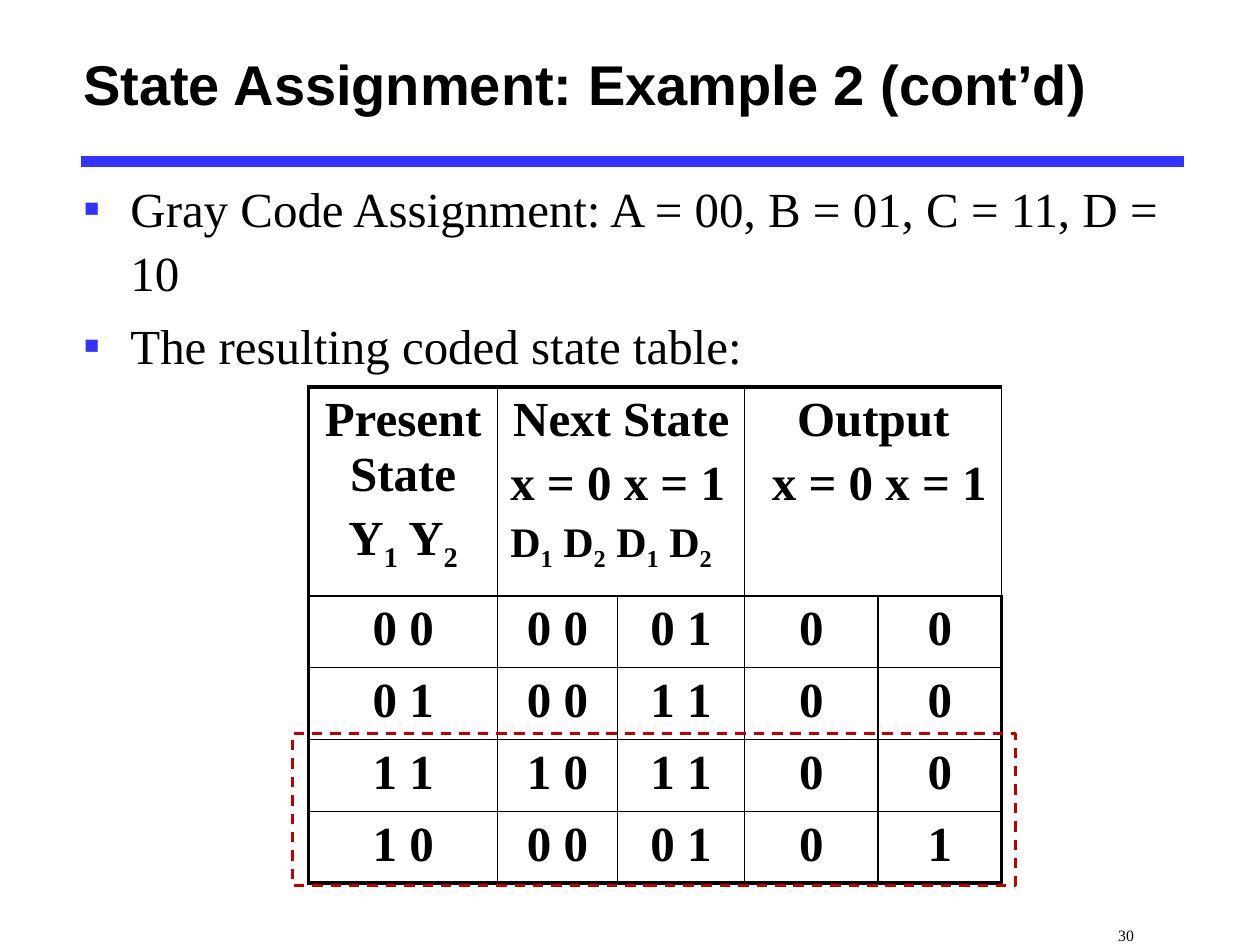
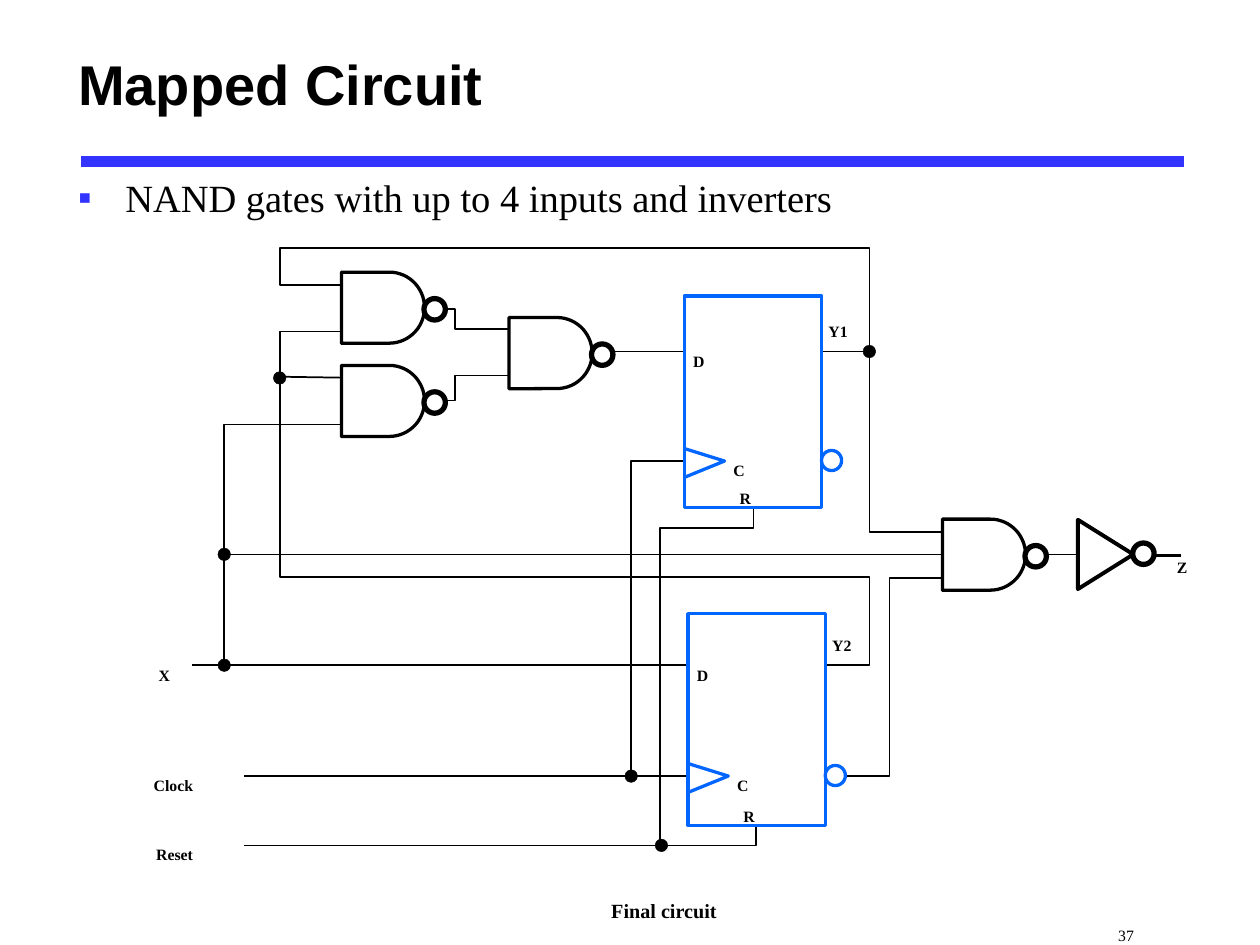
import math

from lxml import etree
from pptx import Presentation
from pptx import util as u
from pptx.dml import color
from pptx.enum import dml, shapes, text
from pptx.oxml import ns

BLACK, WHITE, BLUE, WIRE_BLUE, RED = "000000", "FFFFFF", "3333FF", "0066FF", "C00000"
SERIF, SANS = "Times New Roman", "Arial"
COLUMNS, ROWS = 100, 75

STATE_COLUMNS = [15, 9.5, 10.1, 10.6, 9.8]
STATE_ROWS = [16.6, 5.7, 5.7, 5.7, 5.7]
STATE_HEADERS = {
    0: [("Present State", 28, "c"), ("Y_1 Y_2", 28, "c")],
    1: [("Next State", 28, "c"), ("x = 0 x = 1", 28, "l"), ("D_1 D_2 D_1 D_2", 24, "l")],
    3: [("Output", 28, "c"), (" x = 0 x = 1", 28, "c")],
}
STATES = [
    ["0 0", "0 0", "0 1", "0", "0"],
    ["0 1", "0 0", "1 1", "0", "0"],
    ["1 1", "1 0", "1 1", "0", "0"],
    ["1 0", "0 0", "0 1", "0", "1"],
]

WIRES = [
    [(30.4, 22.6), (22.2, 22.6), (22.2, 19.7), (69, 19.7), (69, 42.2), (77.7, 42.2)],
    [(30.4, 26.3), (22.2, 26.3), (22.2, 45.8), (69, 45.8), (69, 52.8), (15.2, 52.8)],
    [(76.6, 45.9), (70.6, 45.9), (70.6, 61.6), (19.4, 61.6)],
    [(60, 58.9), (60, 67.1), (19.4, 67.1)],
    [(28.6, 33.7), (17.8, 33.7), (17.8, 52.8)],
    [(28.8, 24.5), (36.1, 24.5), (36.1, 26.1), (40.5, 26.1)],
    [(28.8, 31.8), (36.1, 31.8), (36.1, 29.8), (40.5, 29.8)],
    [(60.4, 36.6), (50.1, 36.6), (50.1, 61.6)],
    [(52.4, 67.1), (52.4, 41.9), (59.8, 41.9), (59.8, 37.4)],
]
STRAIGHT_WIRES = [
    (17.8, 44, 85.5, 44, 1),
    (22.2, 29.9, 28.9, 30, 1),
    (69, 27.9, 41.6, 27.9, 1),
    (91.5, 44.1, 93.7, 44.1, 1.5),
]
JUNCTIONS = [(22.2, 30), (17.8, 44), (17.8, 52.8), (50.1, 61.6), (69, 27.9), (52.5, 67.1)]
NAND_GATES = [(27.1, 21.6), (27.1, 29), (40.4, 25.2), (74.8, 41.2)]
INPUTS = [("X", 12.6, 52.85), ("Clock", 12.2, 61.55), ("Reset", 12.4, 67.05), ("Z", 93.4, 44.25)]


def rgb(code):
    """Turn a hex string into a colour."""
    return color.RGBColor.from_string(code)


class Sketch:
    """Hold the deck style and the current slide, and draw elements on a grid."""

    def __init__(self):
        """Open a deck of 10 by 7.5 inches."""
        self.deck = Presentation()
        self.deck.slide_width, self.deck.slide_height = u.Inches(10), u.Inches(7.5)

    def x(self, columns):
        """Convert columns to a length."""
        return round(self.deck.slide_width * columns / COLUMNS)

    def y(self, rows):
        """Convert rows to a length."""
        return round(self.deck.slide_height * rows / ROWS)

    def area(self, left, top, width, height):
        """Convert a grid area to lengths."""
        return self.x(left), self.y(top), self.x(width), self.y(height)

    def place(self, box, area):
        """Move a placeholder to a grid area."""
        box.left, box.top, box.width, box.height = self.area(*area)
        box.text_frame.auto_size = text.MSO_AUTO_SIZE.NONE

    def page(self, title, title_area, bullets, bullet_area, size, number):
        """Start a slide with its title, rule, list and page number."""
        self.slide = self.deck.slides.add_slide(self.deck.slide_layouts[1])
        heading, body = self.slide.placeholders
        self.place(heading, title_area)
        heading.text_frame.vertical_anchor = text.MSO_ANCHOR.MIDDLE
        self.set_lines(heading.text_frame, [(title, 32, "l")], bold=True, font=SANS)
        self.line(6.4, 12.8, 94, 12.8, 6, BLUE)
        self.place(body, bullet_area)
        self.set_lines(body.text_frame, [(bullet, size, "l") for bullet in bullets])
        for para in body.text_frame.paragraphs:
            para.line_spacing = 1.08
            properties = para._p.get_or_add_pPr()
            tint = etree.SubElement(properties, ns.qn("a:buClr"))
            etree.SubElement(tint, ns.qn("a:srgbClr"), val=BLUE)
            etree.SubElement(properties, ns.qn("a:buChar"), char="▪")
            properties.append(properties.find(ns.qn("a:defRPr")))
        self.label(number, (79, 71.2, 11, 3.8), 9, "r", text.MSO_ANCHOR.BOTTOM, bold=False)

    def set_lines(self, frame, lines, bold=False, font=SERIF):
        """Fill a frame with lines of text, size and alignment; _ marks a subscript."""
        sides = {"l": text.PP_ALIGN.LEFT, "c": text.PP_ALIGN.CENTER, "r": text.PP_ALIGN.RIGHT}
        for index, (words, size, side) in enumerate(lines):
            para = frame.add_paragraph() if index else frame.paragraphs[0]
            para.alignment = sides[side]
            para.space_before = u.Pt(size * 0.2 if index else 0)
            para.font.size, para.font.name, para.font.bold = u.Pt(size), font, bold
            para.font.color.rgb = rgb(BLACK)
            plain, *rest = words.split("_")
            para.add_run().text = plain
            for part in rest:
                span = para.add_run()
                span.text = part[0]
                span._r.get_or_add_rPr().set("baseline", "-25000")
                if part[1:]:
                    para.add_run().text = part[1:]

    def label(self, words, area, size=9, side="l", anchor=text.MSO_ANCHOR.TOP, bold=True):
        """Add a text box without margins."""
        frame = self.slide.shapes.add_textbox(*self.area(*area)).text_frame
        frame.margin_left = frame.margin_right = frame.margin_top = frame.margin_bottom = 0
        frame.word_wrap = True
        frame.vertical_anchor = anchor
        self.set_lines(frame, [(words, size, side)], bold)

    def paint(self, shape, line, weight, fill=None):
        """Set the fill and line of a shape."""
        shape.shadow.inherit = False
        if fill:
            shape.fill.solid()
            shape.fill.fore_color.rgb = rgb(fill)
        else:
            shape.fill.background()
        shape.line.color.rgb = rgb(line)
        shape.line.width = u.Pt(weight)
        return shape

    def shape(self, kind, area, line, weight, fill=None):
        """Add a preset shape."""
        return self.paint(self.slide.shapes.add_shape(kind, *self.area(*area)), line, weight, fill)

    def circle(self, center, middle, size, line, weight, fill=WHITE):
        """Add a circle around a grid point."""
        area = (center - size / 2, middle - size / 2, size, size)
        self.shape(shapes.MSO_SHAPE.OVAL, area, line, weight, fill)

    def outline(self, points, line=BLACK, weight=1, fill=None, close=False):
        """Add a freeform through grid points."""
        corners = [(self.x(column), self.y(row)) for column, row in points]
        builder = self.slide.shapes.build_freeform(*corners[0])
        builder.add_line_segments(corners[1:], close=close)
        self.paint(builder.convert_to_shape(), line, weight, fill)

    def line(self, left, top, right, bottom, weight=1, tint=BLACK):
        """Add a straight line."""
        link = self.slide.shapes.add_connector(
            shapes.MSO_CONNECTOR.STRAIGHT, self.x(left), self.y(top), self.x(right), self.y(bottom))
        link.line.color.rgb = rgb(tint)
        link.line.width = u.Pt(weight)
        etree.SubElement(link._element.spPr, ns.qn("a:effectLst"))

    def border(self, cell, weights):
        """Draw the four borders of a cell."""
        properties = cell._tc.get_or_add_tcPr()
        for side, weight in zip("LRTB", weights):
            edge = etree.SubElement(properties, ns.qn(f"a:ln{side}"), w=str(u.Pt(weight)))
            fill = etree.SubElement(edge, ns.qn("a:solidFill"))
            etree.SubElement(fill, ns.qn("a:srgbClr"), val=BLACK)

    def table(self, left, top, widths, heights):
        """Add a plain table with a heavy frame."""
        area = self.area(left, top, sum(widths), sum(heights))
        table = self.slide.shapes.add_table(len(heights), len(widths), *area).table
        table.first_row = table.horz_banding = False
        for column, width in zip(table.columns, widths):
            column.width = self.x(width)
        for row, height in zip(table.rows, heights):
            row.height = self.y(height)
        last_row, last_column = len(heights) - 1, len(widths) - 1
        for r in range(len(heights)):
            for c in range(len(widths)):
                outer = (c == 0, c == last_column, r == 0, r == last_row)
                self.border(table.cell(r, c), [2.25 if edge else 1 for edge in outer])
                table.cell(r, c).fill.background()
        return table

    def nand_gate(self, left, top):
        """Draw a NAND gate with its output bubble."""
        turns = [math.radians(degree) for degree in range(90, -91, -6)]
        arc = [(left + 3.8 + 2.8 * math.cos(t), top + 2.82 + 2.82 * math.sin(t)) for t in turns]
        self.outline([(left, top), (left, top + 5.65)] + arc, BLACK, 1.88, WHITE, close=True)
        self.circle(left + 7.4, top + 2.95, 1.7, BLACK, 3)

    def flip_flop(self, left, top, data, clock, output):
        """Draw a flip-flop with its data and clock rows."""
        self.shape(shapes.MSO_SHAPE.RECTANGLE, (left, top, 10.9, 16.8), WIRE_BLUE, 1.88, WHITE)
        self.circle(left + 11.7, clock - 0.05, 1.6, WIRE_BLUE, 1.88)
        self.outline([(left, clock - 1), (left + 3.2, clock), (left, clock + 1.3)], WIRE_BLUE, 1.88)
        marks = [("D", 0.7, data), ("C", 3.9, clock), ("R", 4.4, top + 15.3), (output, 11.45, data - 2.4)]
        for words, shift, row in marks:
            self.label(words, (left + shift, row, 2.5, 1.5))


def state_table(sketch):
    """Build the coded state table slide."""
    sketch.page("State Assignment: Example 2 (cont’d)", (5.6, 1, 90.5, 11.2),
                ["Gray Code Assignment: A = 00, B = 01, C = 11, D = 10", "The resulting coded state table:"],
                (5.6, 13.3, 91.6, 18.8), 28, "30")
    table = sketch.table(24.5, 30.7, STATE_COLUMNS, STATE_ROWS)
    for column in (1, 3):
        table.cell(0, column).merge(table.cell(0, column + 1))
    for column, lines in STATE_HEADERS.items():
        sketch.set_lines(table.cell(0, column).text_frame, lines, bold=True)
    for r, codes in enumerate(STATES, 1):
        for c, code in enumerate(codes):
            sketch.set_lines(table.cell(r, c).text_frame, [(code, 28, "c")], bold=True)
    marker = sketch.shape(shapes.MSO_SHAPE.RECTANGLE, (23.2, 58.2, 57.4, 12.1), RED, 1.5)
    marker.line.dash_style = dml.MSO_LINE.DASH


def mapped_circuit(sketch):
    """Build the circuit slide."""
    sketch.page("Mapped Circuit", (5.2, 1, 85, 11.2),
                ["NAND gates with up to 4 inputs and inverters"], (5.2, 13, 90, 61.8), 22, "37")
    for points in WIRES:
        sketch.outline(points)
    for ends in STRAIGHT_WIRES:
        sketch.line(*ends)
    sketch.flip_flop(54.3, 23.5, 27.95, 36.6, "Y1")
    sketch.flip_flop(54.6, 48.7, 52.85, 61.6, "Y2")
    for corner in NAND_GATES:
        sketch.nand_gate(*corner)
    for center in JUNCTIONS:
        sketch.circle(*center, 1, BLACK, 0.25, BLACK)
    inverter = sketch.shape(shapes.MSO_SHAPE.ISOSCELES_TRIANGLE, (85, 41.8, 5.5, 4.4), BLACK, 2.25)
    inverter.rotation = 90
    sketch.circle(90.75, 43.95, 1.7, BLACK, 3)
    for words, left, top in INPUTS:
        sketch.label(words, (left, top, 5.7, 1.5))
    sketch.label("Final circuit", (41.2, 69.9, 23, 4.7), 11.5, "c", text.MSO_ANCHOR.MIDDLE)


def main():
    """Build and save the deck."""
    sketch = Sketch()
    state_table(sketch)
    mapped_circuit(sketch)
    sketch.deck.save("out.pptx")


if __name__ == "__main__":
    main()
